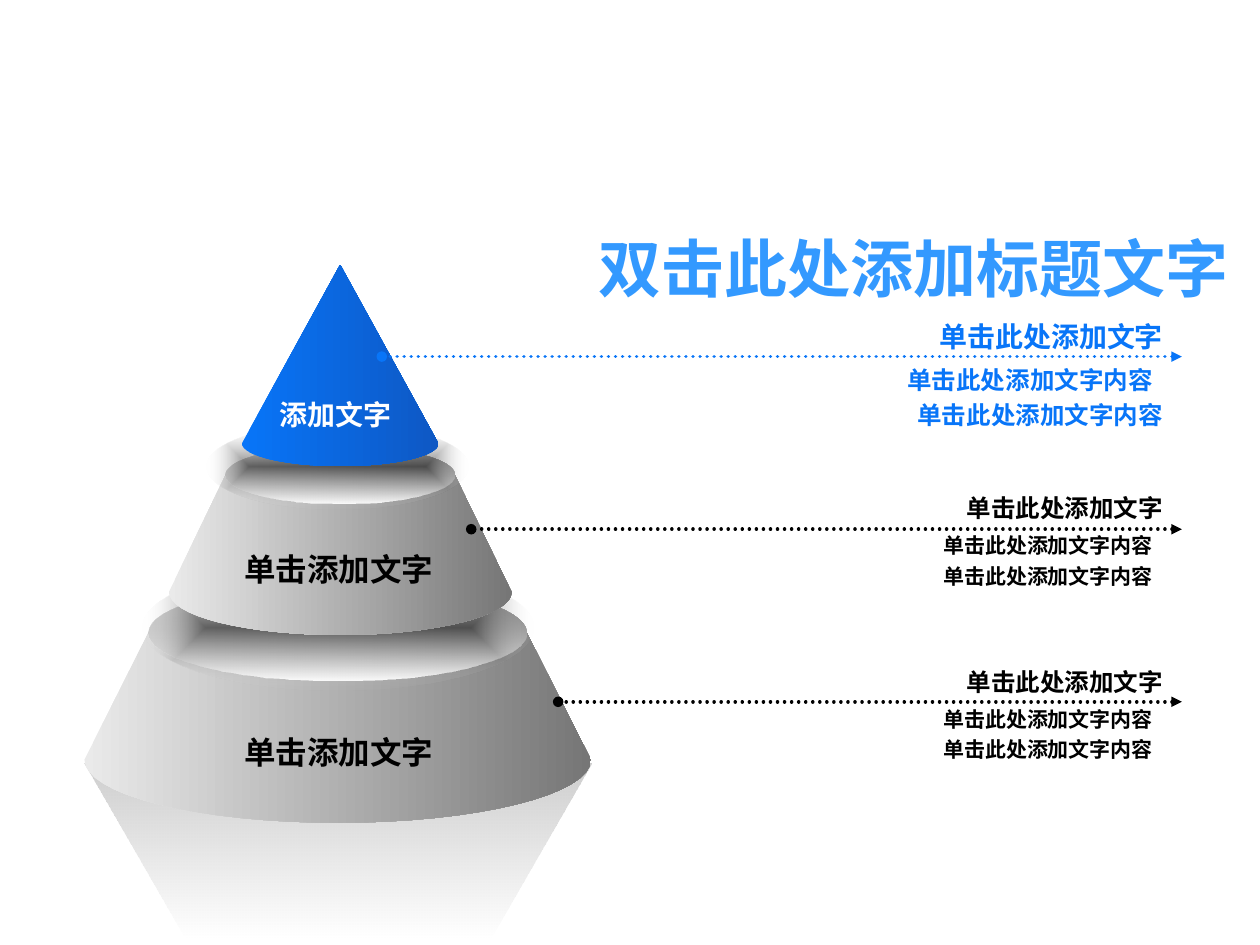
"""Build a slide with a three-tier cone and a dotted callout for each tier."""
from dataclasses import dataclass
from math import cos, pi, sin

from lxml import etree
from pptx import Presentation
from pptx.dml.color import RGBColor
from pptx.enum.dml import MSO_LINE
from pptx.enum.shapes import MSO_CONNECTOR, MSO_SHAPE
from pptx.enum.text import MSO_ANCHOR, MSO_AUTO_SIZE, PP_ALIGN
from pptx.oxml.ns import qn
from pptx.util import Emu, Pt

OVAL = MSO_SHAPE.OVAL
TRAPEZOID = MSO_SHAPE.FLOWCHART_MANUAL_OPERATION
STRAIGHT = MSO_CONNECTOR.STRAIGHT
DOTTED = MSO_LINE.ROUND_DOT
CENTER, RIGHT = PP_ALIGN.CENTER, PP_ALIGN.RIGHT
TOP = MSO_ANCHOR.TOP
NO_FIT = MSO_AUTO_SIZE.NONE

COLORS = {"title": "3399FF", "blue": "0875F8", "navy": "0E58C4", "black": "000000",
          "white": "FFFFFF", "silver": "EAEAEA", "gray": "767676"}
COLUMNS, ROWS = 10, 7.5
CELL = 914400
STEPS = 32
ARC = [pi * step / STEPS for step in range(STEPS + 1)]
LINE_END, TEXT_LEFT, TEXT_WIDTH = 9.38, 6.97, 2.36
TRAILING = 0.08
HEADING, DETAIL = "单击此处添加文字", "单击此处添加文字内容"


@dataclass(frozen=True)
class Ring:
    """An ellipse by its centre and radii."""
    x: float
    y: float
    rx: float
    ry: float

    @property
    def box(self) -> tuple:
        """Return left, top, width and height."""
        return self.x - self.rx, self.y - self.ry, 2 * self.rx, 2 * self.ry


@dataclass(frozen=True)
class Tier:
    """One slice of the cone; a top without radii is a point."""
    top: Ring
    base: Ring
    shade: Ring | None
    fill: tuple
    label: str
    label_box: tuple
    size: int
    color: str


@dataclass(frozen=True)
class Callout:
    """A dotted arrow with a heading above it and details below."""
    start: float
    y: float
    text_top: float
    height: float
    color: str
    sizes: tuple
    spacings: tuple
    indents: tuple


SILVER = (("silver", 100), ("gray", 100))
TIERS = [
    Tier(Ring(2.68, 5.02, 1.5, 0.38), Ring(2.68, 6.03, 2.01, 0.5), None,
         SILVER, "单击添加文字", (1.84, 5.77, 1.7, 0.4), 18, "black"),
    Tier(Ring(2.7, 3.77, 0.91, 0.23), Ring(2.7, 4.7, 1.36, 0.34), Ring(2.68, 4.98, 1.55, 0.5),
         SILVER, "单击添加文字", (1.84, 4.32, 1.7, 0.4), 18, "black"),
    Tier(Ring(2.7, 2.1, 0, 0), Ring(2.7, 3.52, 0.78, 0.18), Ring(2.68, 3.7, 1.04, 0.34),
         (("blue", 100), ("navy", 100)), "添加文字", (2.12, 3.11, 1.09, 0.37), 16, "white"),
]
CALLOUTS = [
    Callout(3.03, 2.83, 2.38, 1.08, "blue", (16, 14, 14), (1.4, 1.4, 1.2), (0, TRAILING, 0)),
    *(Callout(start, y, top, 0.9, "black", (14, 12, 12), (1.2, 1.4, 1.2), (0, TRAILING, TRAILING))
      for start, y, top in [(3.74, 4.2, 3.82), (4.43, 5.57, 5.2)]),
]


def grid(*cells: float) -> list:
    """Turn grid cells into slide lengths."""
    return [Emu(round(cell * CELL)) for cell in cells]


def paint(shape, stops: tuple, angle: int | None = 0) -> None:
    """Fill a shape with a linear gradient, or a radial one when angle is None."""
    shape.shadow.inherit = False
    shape.line.fill.background()
    shape.fill.background()
    gradient = etree.Element(qn("a:gradFill"), rotWithShape="1")
    stop_list = etree.SubElement(gradient, qn("a:gsLst"))
    for position, (name, opacity) in zip((0, 100000), stops):
        stop = etree.SubElement(stop_list, qn("a:gs"), pos=str(position))
        color = etree.SubElement(stop, qn("a:srgbClr"), val=COLORS[name])
        etree.SubElement(color, qn("a:alpha"), val=str(opacity * 1000))
    if angle is None:
        radial = etree.SubElement(gradient, qn("a:path"), path="shape")
        etree.SubElement(radial, qn("a:fillToRect"), dict.fromkeys("ltrb", "50000"))
    else:
        etree.SubElement(gradient, qn("a:lin"), ang=str(angle * 60000), scaled="1")
    properties = shape.element.spPr
    properties.replace(properties.find(qn("a:noFill")), gradient)


def write(para, text: str, *, size: int, color: str, font: str = "Arial", align=CENTER,
          spacing: float | None = None, indent: float = 0) -> None:
    """Put one bold, formatted span into a paragraph."""
    span = para.add_run()
    span.text = text
    span.font.name, span.font.size, span.font.bold = font, Pt(size), True
    span.font.color.rgb = RGBColor.from_string(COLORS[color])
    para.alignment = align
    if spacing:
        para.line_spacing = spacing
    para._p.get_or_add_pPr().set("marR", str(round(indent * CELL)))


def draw_body(page, tier: Tier) -> None:
    """Draw a tier's side from its base's front arc and its top's back arc."""
    points = [grid(ring.x + ring.rx * cos(angle + turn), ring.y + ring.ry * sin(angle + turn))
              for ring, turn in ((tier.base, 0), (tier.top, pi)) for angle in ARC]
    builder = page.shapes.build_freeform(*points[0], scale=1.0)
    builder.add_line_segments(points[1:], close=True)
    paint(builder.convert_to_shape(), tier.fill)


def draw_tier(page, tier: Tier) -> None:
    """Draw a tier with its soft shade, body, lip and label."""
    if tier.shade:
        shade = page.shapes.add_shape(OVAL, *grid(*tier.shade.box))
        paint(shade, (("black", 50), ("white", 0)), None)
    draw_body(page, tier)
    if tier.top.rx:
        lip = page.shapes.add_shape(OVAL, *grid(*tier.top.box))
        paint(lip, (("gray", 0), ("white", 100)), 90)
    box = page.shapes.add_textbox(*grid(*tier.label_box))
    box.text_frame.word_wrap = False
    write(box.text_frame.paragraphs[0], tier.label, size=tier.size, color=tier.color)


def draw_callout(page, callout: Callout) -> None:
    """Draw a callout's text and its dotted arrow."""
    box = page.shapes.add_textbox(*grid(TEXT_LEFT, callout.text_top, TEXT_WIDTH, callout.height))
    frame = box.text_frame
    frame.word_wrap = True
    rows = zip((HEADING, DETAIL, DETAIL), callout.sizes, callout.spacings, callout.indents)
    for index, (text, size, spacing, indent) in enumerate(rows):
        para = frame.add_paragraph() if index else frame.paragraphs[0]
        write(para, text, size=size, color=callout.color, align=RIGHT,
              spacing=spacing, indent=indent)
    arrow = page.shapes.add_connector(
        STRAIGHT, *grid(LINE_END, callout.y, callout.start, callout.y))
    arrow.line.width = Pt(2)
    arrow.line.color.rgb = RGBColor.from_string(COLORS[callout.color])
    arrow.line.dash_style = DOTTED
    line = arrow.line._get_or_add_ln()
    line.set("cap", "rnd")
    etree.SubElement(line, qn("a:headEnd"), type="triangle")
    etree.SubElement(line, qn("a:tailEnd"), type="oval")
    etree.SubElement(arrow.element.spPr, qn("a:effectLst"))


def draw_title(page) -> None:
    """Move and format the title placeholder."""
    title = page.shapes.title
    title.left, title.top, title.width, title.height = grid(4.6, 1.77, 5.3, 0.75)
    frame = title.text_frame
    frame.word_wrap, frame.auto_size, frame.vertical_anchor = False, NO_FIT, TOP
    write(frame.paragraphs[0], "双击此处添加标题文字", size=36, color="title",
          font="Noto Sans CJK SC")


def main() -> None:
    """Build and save the deck."""
    deck = Presentation()
    deck.slide_width, deck.slide_height = grid(COLUMNS, ROWS)
    page = deck.slides.add_slide(deck.slide_layouts[5])
    draw_title(page)
    reflection = page.shapes.add_shape(TRAPEZOID, *grid(0.67, 6.06, 4.02, 1.39))
    paint(reflection, (("black", 20), ("black", 0)), 90)
    for tier in TIERS:
        draw_tier(page, tier)
    for callout in CALLOUTS:
        draw_callout(page, callout)
    deck.save("out.pptx")


if __name__ == "__main__":
    main()
